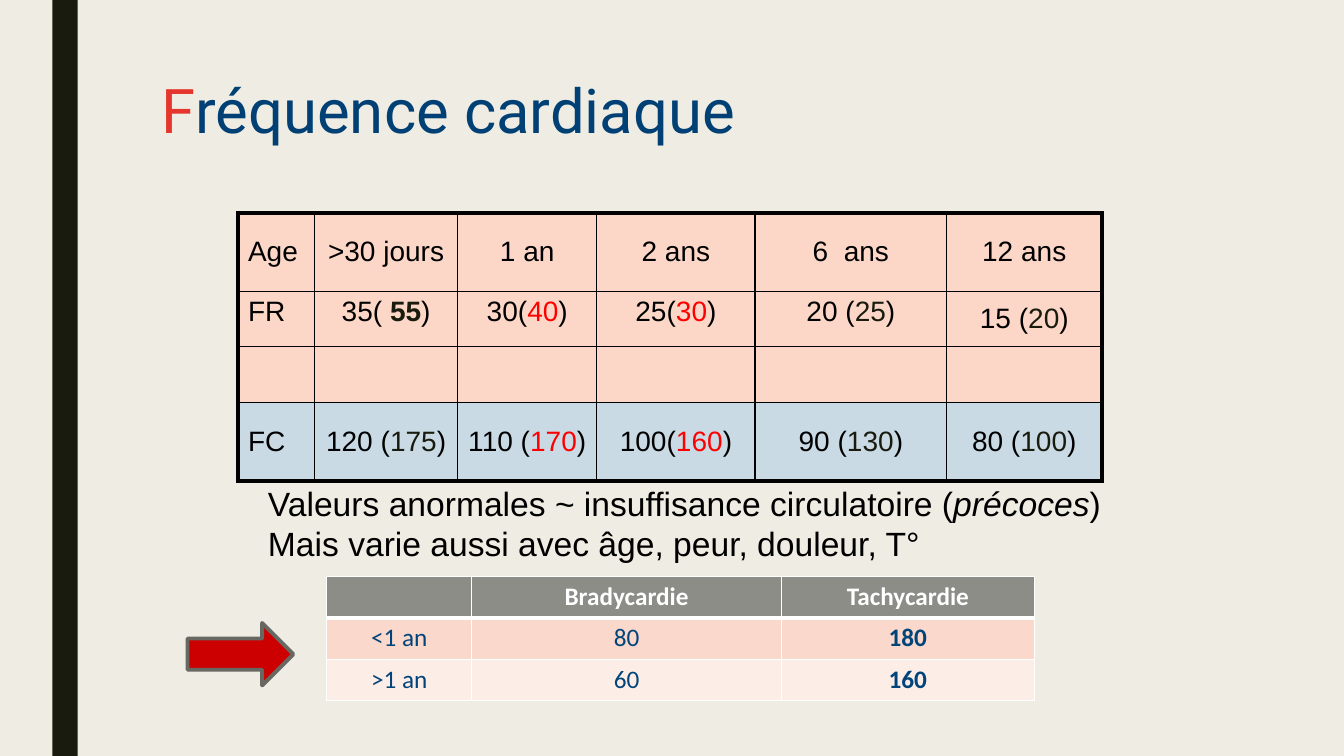
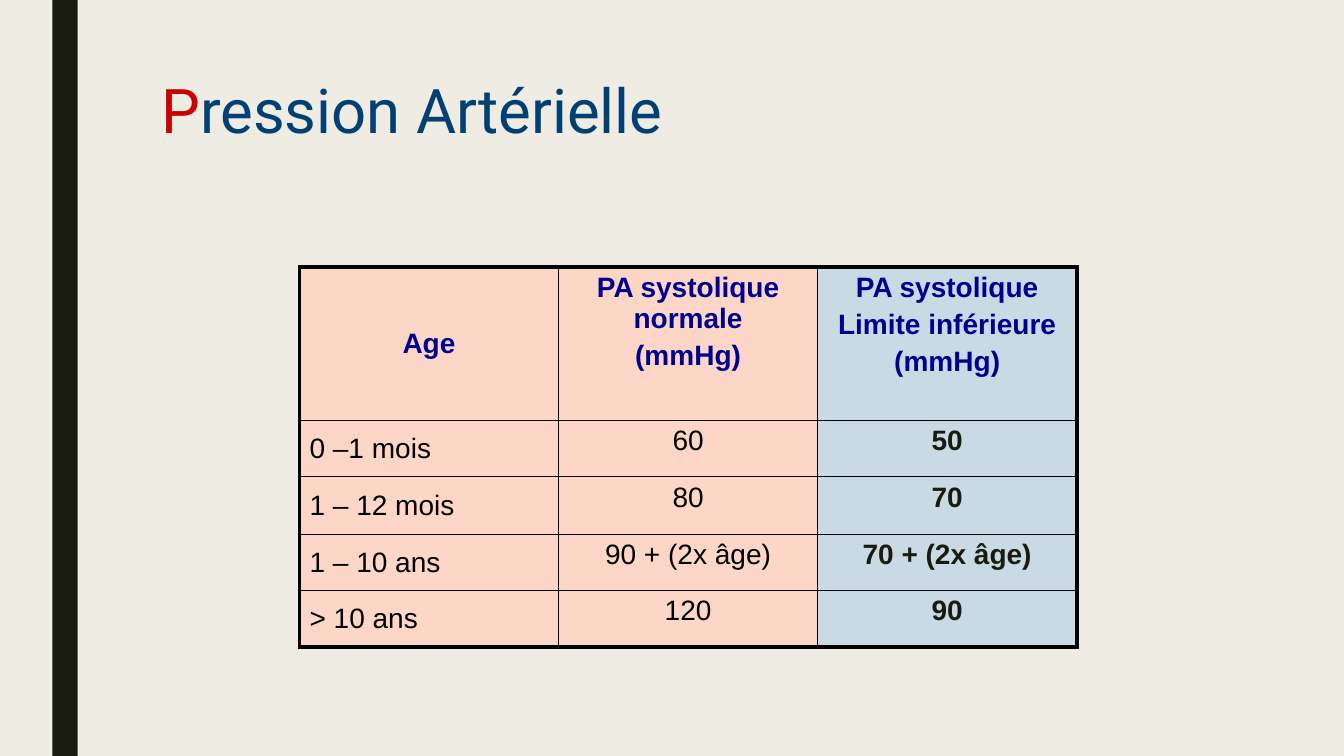
import pptx
import pptx.util
import pptx.dml.color
import pptx.enum.shapes
import pptx.enum.text
import pptx.oxml
import pptx.oxml.ns

Inches = pptx.util.Inches
Pt = pptx.util.Pt
ALIGN = pptx.enum.text.PP_ALIGN
ANCHOR = pptx.enum.text.MSO_ANCHOR
AUTOSIZE = pptx.enum.text.MSO_AUTO_SIZE
SHAPE = pptx.enum.shapes.MSO_SHAPE

PAPER, INK, BLUE = "EFEDE3", "191B0E", "004075"
BLACK, WHITE, NAVY = "000000", "FFFFFF", "000090"
SALMON, PALE_BLUE = "FCD7C7", "C9DAE4"
RED, DARK_RED = "FF0000", "CC0000"

RUN_STYLES = {
    "limit": {"colour": INK},
    "strong": {"colour": INK, "bold": True},
    "alert": {"colour": RED},
    "italic": {"italic": True},
}

HEART_TITLE = ("F", "réquence cardiaque", "E5352C")
PRESSURE_TITLE = ("P", "ression Artérielle", DARK_RED)

VITALS_COLUMNS = [0.76, 1.42, 1.38, 1.57, 1.9, 1.54]
VITALS_HEIGHTS = [0.78, 0.55, 0.55, 0.78]
VITALS = [
    ["Age", ">30 jours", "1 an", "2 ans", "6  ans", "12 ans"],
    ["FR",
     ["35( ", ("55", "strong"), ")"],
     ["30(", ("40", "alert"), ")"],
     ["25(", ("30", "alert"), ")"],
     ["20 (", ("25", "limit"), ")"],
     ["15 (", ("20", "limit"), ")"]],
    [""] * 6,
    ["FC",
     ["120 (", ("175", "limit"), ")"],
     ["110 (", ("170", "alert"), ")"],
     ["100(", ("160", "alert"), ")"],
     ["90 (", ("130", "limit"), ")"],
     ["80 (", ("100", "limit"), ")"]],
]

REMARKS = [
    ["Valeurs anormales ~ insuffisance circulatoire (", ("précoces", "italic"), ")"],
    "Mais varie aussi avec âge, peur, douleur, T°",
]

THRESHOLD_COLUMNS = [1.44, 3.07, 2.51]
THRESHOLD_HEIGHTS = [0.41] * 3
THRESHOLDS = [
    ["", "Bradycardie", "Tachycardie"],
    ["<1 an", "80", "180"],
    [">1 an", "60", "160"],
]

PRESSURE_COLUMNS = [2.57] * 3
PRESSURE_HEIGHTS = [1.52, 0.56, 0.57, 0.56, 0.56]
PRESSURES = [
    ["Age", "PA systolique normale\n(mmHg)", "PA systolique\nLimite inférieure\n(mmHg)"],
    ["0 –1 mois", "60", "50"],
    ["1 – 12 mois", "80", "70"],
    ["1 – 10 ans", "90 + (2x âge)", "70 + (2x âge)"],
    ["> 10 ans", "120", "90"],
]


def rgb(value):
    return pptx.dml.color.RGBColor.from_string(value)


def paint(shape, fill, line=None, width=0):
    shape.shadow.inherit = False
    shape.fill.solid()
    shape.fill.fore_color.rgb = rgb(fill)
    if line:
        shape.line.color.rgb = rgb(line)
        shape.line.width = Pt(width)
    else:
        shape.line.fill.background()


def style_run(run, face, size, colour, bold=False, italic=False):
    font = run.font
    font.name, font.size = face, Pt(size)
    font.bold, font.italic = bold, italic
    font.color.rgb = rgb(colour)


def write(paragraph, content, base):
    for part in [content] if isinstance(content, str) else content:
        words, style = (part, None) if isinstance(part, str) else part
        run = paragraph.add_run()
        run.text = words
        style_run(run, **{**base, **RUN_STYLES.get(style, {})})


def set_borders(cell, colour, widths):
    properties = cell._tc.get_or_add_tcPr()
    for side, width in zip("LRTB", widths):
        properties.append(pptx.oxml.parse_xml(
            f'<a:ln{side} {pptx.oxml.ns.nsdecls("a")} w="{Pt(width)}">'
            f'<a:solidFill><a:srgbClr val="{colour}"/></a:solidFill></a:ln{side}>'))


def framed(row, col, last_row, last_col):
    return [3 if edge else 1
            for edge in (col == 0, col == last_col, row == 0, row == last_row)]


def header_ruled(row, col, last_row, last_col):
    return [1, 1, 3 if row == 1 else 1, 3 if row == 0 else 1]


def draw_table(slide, left, top, columns, heights, rows, look, borders, border_colour):
    table = slide.shapes.add_table(
        len(rows), len(columns), Inches(left), Inches(top),
        Inches(sum(columns)), Inches(sum(heights))).table
    table.horz_banding = False
    for column, width in zip(table.columns, columns):
        column.width = Inches(width)
    for r, (values, height) in enumerate(zip(rows, heights)):
        table.rows[r].height = Inches(height)
        for c, value in enumerate(values):
            cell = table.cell(r, c)
            fill, align, anchor, base = look(r, c)
            set_borders(cell, border_colour, borders(r, c, len(rows) - 1, len(columns) - 1))
            cell.fill.solid()
            cell.fill.fore_color.rgb = rgb(fill)
            cell.vertical_anchor = anchor
            lines = value.split("\n") if isinstance(value, str) else [value]
            for i, line in enumerate(lines):
                frame = cell.text_frame
                paragraph = frame.add_paragraph() if i else frame.paragraphs[0]
                paragraph.alignment = align
                if i:
                    paragraph.space_before = Pt(4)
                if line:
                    write(paragraph, line, base)


def vitals_look(row, col):
    middle = row in (0, 3) or (row, col) == (1, 5)
    return (PALE_BLUE if row == 3 else SALMON,
            ALIGN.CENTER if col else ALIGN.LEFT,
            ANCHOR.MIDDLE if middle else ANCHOR.TOP,
            {"face": "Arial", "size": 20, "colour": BLACK})


def threshold_look(row, col):
    return (["8C8D86", "FBD8CC", "FDEDE7"][row], ALIGN.CENTER, ANCHOR.TOP,
            {"face": "Calibri", "size": 18, "colour": "00447A" if row else WHITE,
             "bold": row == 0 or col == 2})


def pressure_look(row, col):
    colour = NAVY if row == 0 else INK if col == 2 else BLACK
    return (PALE_BLUE if col == 2 else SALMON,
            ALIGN.LEFT if row and col == 0 else ALIGN.CENTER,
            ANCHOR.TOP if col else ANCHOR.MIDDLE,
            {"face": "Arial", "size": 20, "colour": colour,
             "bold": row == 0 or col == 2})


def add_slide(prs, initial, rest, accent):
    slide = prs.slides.add_slide(prs.slide_layouts[5])
    title = slide.shapes.title
    title.left, title.top = Inches(1.5), Inches(0.75)
    title.width, title.height = Inches(10.5), Inches(1.62)
    frame = title.text_frame
    frame.vertical_anchor = ANCHOR.TOP
    frame.auto_size = AUTOSIZE.NONE
    heading = frame.paragraphs[0]
    heading.alignment = ALIGN.LEFT
    heading.line_spacing = 0.89
    for words, colour in ((initial, accent), (rest, BLUE)):
        write(heading, words, {"face": "Roboto", "size": 44, "colour": colour})
    return slide


def set_master(prs, slide):
    master = prs.slide_master
    master.background.fill.solid()
    master.background.fill.fore_color.rgb = rgb(PAPER)
    band = slide.shapes.add_shape(
        SHAPE.RECTANGLE, Inches(0.52), 0, Inches(0.25), prs.slide_height)
    paint(band, INK)
    band.element.nvSpPr.cNvPr.id = 99
    master.shapes.element.insert(2, band.element)


def add_remarks(slide):
    remarks = slide.shapes.add_textbox(Inches(2.56), Inches(4.74), Inches(8.54), Inches(0.91))
    frame = remarks.text_frame
    frame.word_wrap = True
    frame.auto_size = AUTOSIZE.SHAPE_TO_FIT_TEXT
    for i, remark in enumerate(REMARKS):
        paragraph = frame.add_paragraph() if i else frame.paragraphs[0]
        write(paragraph, remark, {"face": "Arial", "size": 24, "colour": BLACK})


def main():
    prs = pptx.Presentation()
    prs.slide_width, prs.slide_height = Inches(13.33), Inches(7.5)

    heart = add_slide(prs, *HEART_TITLE)
    set_master(prs, heart)
    draw_table(heart, 3.24, 5.72, THRESHOLD_COLUMNS, THRESHOLD_HEIGHTS, THRESHOLDS,
               threshold_look, header_ruled, WHITE)
    add_remarks(heart)
    draw_table(heart, 2.36, 2.11, VITALS_COLUMNS, VITALS_HEIGHTS, VITALS,
               vitals_look, framed, BLACK)
    arrow = heart.shapes.add_shape(
        SHAPE.RIGHT_ARROW, Inches(1.86), Inches(6.18), Inches(1.05), Inches(0.62))
    paint(arrow, DARK_RED, "686863", 2.75)

    pressure = add_slide(prs, *PRESSURE_TITLE)
    draw_table(pressure, 2.97, 2.65, PRESSURE_COLUMNS, PRESSURE_HEIGHTS, PRESSURES,
               pressure_look, framed, BLACK)

    prs.save("out.pptx")


if __name__ == "__main__":
    main()
